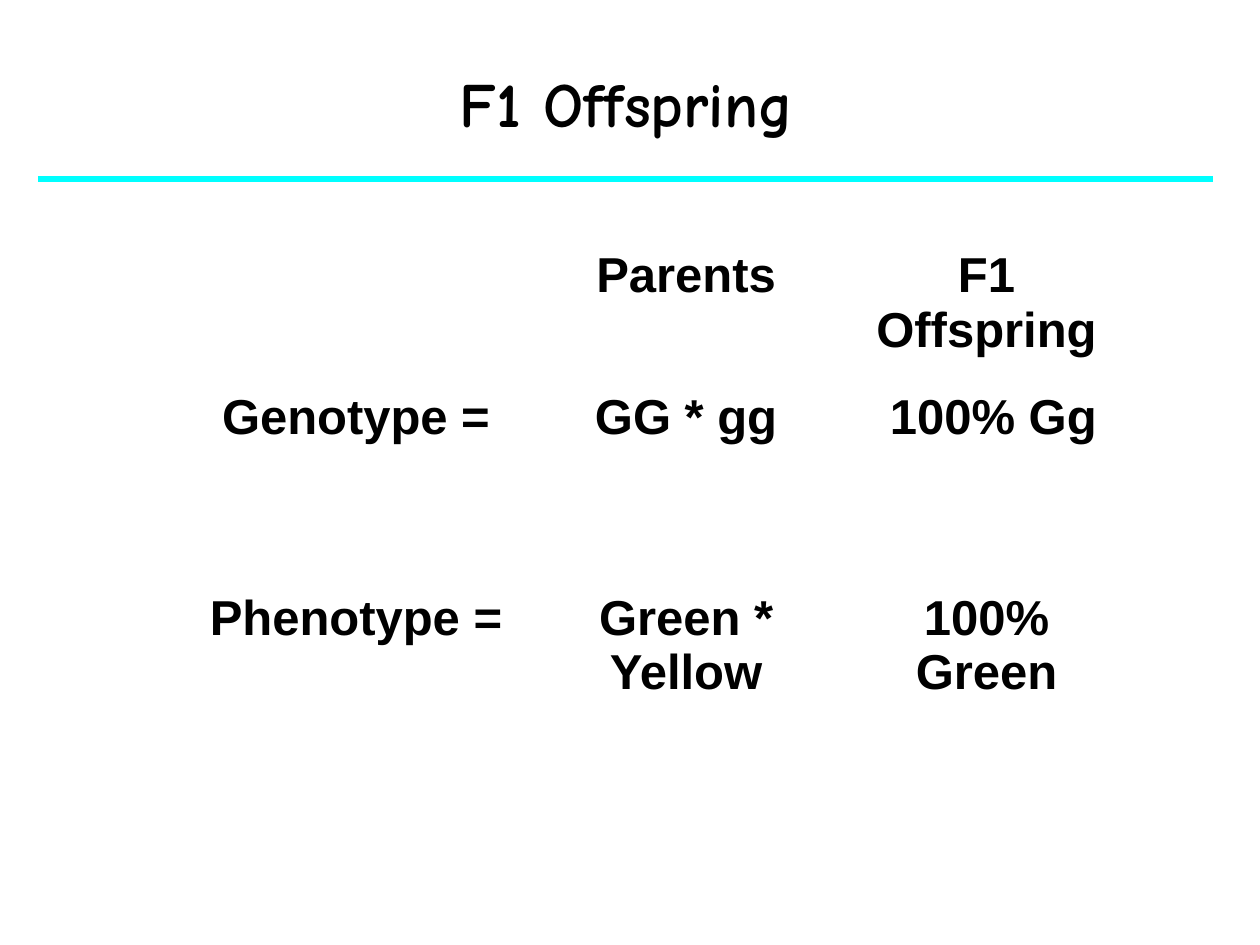
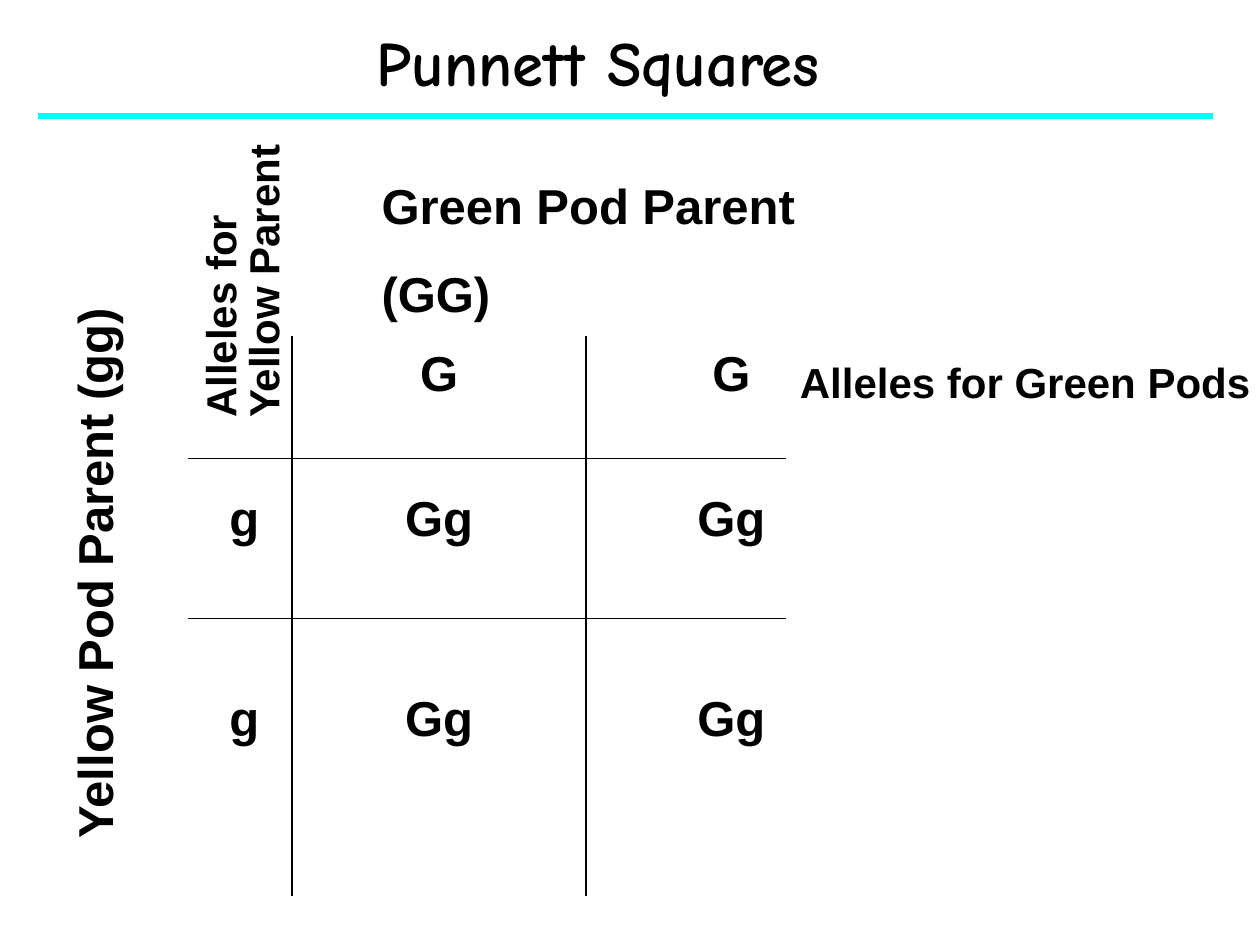
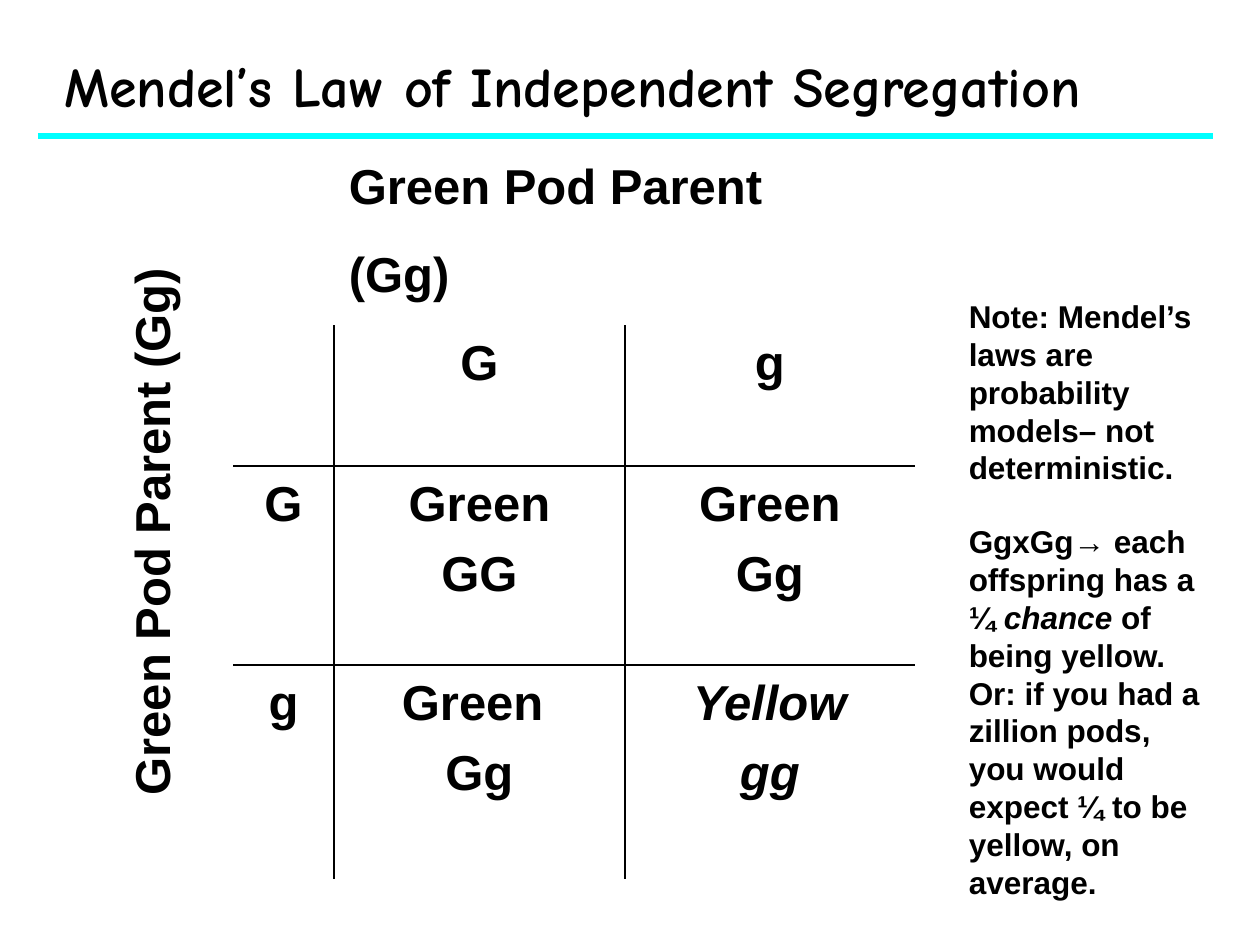
from dataclasses import dataclass
from itertools import accumulate

from lxml import etree
from pptx import Presentation
from pptx.dml.color import RGBColor
from pptx.enum.shapes import MSO_CONNECTOR
from pptx.enum.text import PP_ALIGN
from pptx.oxml.ns import qn
from pptx.util import Inches, Pt

STRAIGHT = MSO_CONNECTOR.STRAIGHT
LEFT, CENTER = PP_ALIGN.LEFT, PP_ALIGN.CENTER
BLANK_LAYOUT = 6

# The slide is a grid of 100 columns by 75 rows of square units
COLUMNS, ROWS = 100, 75
UNIT = Inches(10) // COLUMNS


@dataclass(frozen=True)
class Theme:
    ink: RGBColor = RGBColor(0x00, 0x00, 0x00)
    band: RGBColor = RGBColor(0x00, 0xFF, 0xFF)
    title_font: str = "Comic Neue"
    body_font: str = "Arial"
    title: int = 36
    long_title: int = 32
    body: int = 28
    label: int = 24
    note: int = 18
    band_width: float = 3
    grid_width: float = 1
    thin_width: float = 0.75


@dataclass(frozen=True)
class Box:
    left: float
    top: float
    width: float
    height: float

    def turned(self):
        """The unrotated box that fills this one after a quarter turn."""
        shift = (self.width - self.height) / 2
        return Box(self.left + shift, self.top - shift, self.height, self.width)

    def lengths(self):
        return [units(value) for value in (self.left, self.top, self.width, self.height)]


THEME = Theme()
LOOSE = {"line_spacing": 1.5, "space_after": Pt(6)}
TITLE_TIGHT = {"line_spacing": 0.9, "space_after": Pt(16)}
LABEL_TIGHT = {"line_spacing": 0.85}
CELL = {"alignment": CENTER}
CELL_GAP = Pt(6.4)
NOTE_GAP = Pt(20.7)


def units(value):
    return round(value * UNIT)


def apply(target, values):
    for name, value in values.items():
        setattr(target, name, value)


def write(frame, paragraphs, size, layout, font=THEME.body_font, gap=None, italic=False):
    """Each paragraph is a string or a list of (text, italic) runs."""
    frame.word_wrap = True
    for index, content in enumerate(paragraphs):
        paragraph = frame.paragraphs[0] if index == 0 else frame.add_paragraph()
        apply(paragraph, {"alignment": LEFT, **layout})
        if index and gap:
            paragraph.space_before = gap
        runs = [(content, italic)] if isinstance(content, str) else content
        for text, slanted in runs:
            run = paragraph.add_run()
            run.text = text
            apply(run.font, {"name": font, "size": Pt(size), "bold": True, "italic": slanted})
            run.font.color.rgb = THEME.ink


def add_text(slide, box, paragraphs, size, layout, upward=False, **options):
    shape = slide.shapes.add_textbox(*(box.turned() if upward else box).lengths())
    if upward:
        shape.rotation = 270
    write(shape.text_frame, paragraphs, size, layout, **options)


def add_line(slide, start, end, color, width):
    line = slide.shapes.add_connector(STRAIGHT, *(units(value) for value in start + end))
    line.line.color.rgb = color
    line.line.width = Pt(width)
    etree.SubElement(line.element.spPr, qn("a:effectLst"))


def add_heading(slide, box, text, band_top, size=THEME.title, layout=LOOSE):
    """Title with the bright rule below it."""
    add_text(slide, box, [text], size, layout, font=THEME.title_font)
    add_line(slide, (3, band_top), (96.3, band_top), THEME.band, THEME.band_width)


def add_cross_table(slide, box, widths, heights, rows):
    table = slide.shapes.add_table(len(rows), len(widths), *box.lengths()).table
    apply(table, {"first_row": False, "horz_banding": False})
    for column, width in zip(table.columns, widths):
        column.width = units(width)
    for row, height, texts in zip(table.rows, heights, rows):
        row.height = units(height)
        for cell, text in zip(row.cells, texts):
            cell.fill.background()
            if text:
                write(cell.text_frame, [text], THEME.body, CELL)


def add_punnett_square(slide, left, top, widths, heights, rows, rules, rule_span, rule_width,
                       italic_cell=None):
    """Grid of alleles; rules are the heights of its horizontal lines below the top."""
    column_edges = list(accumulate(widths, initial=left))
    row_edges = list(accumulate(heights, initial=top))
    for row, texts in enumerate(rows):
        for column, text in enumerate(texts):
            if text:
                box = Box(column_edges[column], row_edges[row], widths[column], heights[row])
                add_text(slide, box, text.split("/"), THEME.body, CELL, gap=CELL_GAP,
                         italic=(row, column) == italic_cell)
    for edge in column_edges[1:-1]:
        add_line(slide, (edge, top), (edge, row_edges[-1]), THEME.ink, THEME.grid_width)
    start, end = (left + offset for offset in rule_span)
    for rule in rules:
        add_line(slide, (start, top + rule), (end, top + rule), THEME.ink, rule_width)


def add_parents(slide, across_box, across, upward_box, upward):
    """Parent names above and beside a Punnett square."""
    add_text(slide, across_box, [across], THEME.body, LOOSE)
    add_text(slide, upward_box, [upward], THEME.body, LOOSE, upward=True)


def build_offspring(slide):
    add_cross_table(
        slide, Box(13.9, 19.2, 76.4, 44.2), (28.7, 23.7, 24), (11.3, 15.9, 17),
        [("", "Parents", "F1 Offspring"),
         ("Genotype =", "GG * gg", " 100% Gg"),
         ("Phenotype =", "Green * Yellow", "100% Green")])
    add_heading(slide, Box(35.5, 5.3, 33.5, 6.4), "F1 Offspring", 14.2, layout=TITLE_TIGHT)


def build_punnett_squares(slide):
    add_heading(slide, Box(28.9, -1.6, 94.1, 10), "Punnett Squares", 9.2)
    add_punnett_square(
        slide, 15.6, 26.7, (7.6, 23.3, 23.1), (11.5, 15.9, 17),
        [("", "G", "G"), ("g", "Gg", "Gg"), ("g", "Gg", "Gg")],
        rules=(9.7, 22.4), rule_span=(-0.7, 46.8), rule_width=THEME.thin_width)
    add_parents(slide, Box(29.3, 11.1, 41.6, 15), "Green Pod Parent (GG)",
                Box(2.3, 22.3, 9, 45.2), "Yellow Pod Parent (gg)")
    # Allele labels
    add_text(slide, Box(15.55, 3.45, 7.8, 30.7), ["Alleles for", "Yellow Parent"],
             THEME.label, LABEL_TIGHT, upward=True)
    add_text(slide, Box(62.5, 25.8, 48.9, 7), ["Alleles for Green Pods"], THEME.label, LOOSE)


def build_segregation(slide):
    add_heading(slide, Box(4.1, 0.9, 99.9, 9), "Mendel’s Law of Independent Segregation", 10.8,
                size=THEME.long_title)
    heights = (11.2, 15.8, 17)
    add_punnett_square(
        slide, 18.5, 25.8, (8, 23.1, 23), heights,
        [("", "G", "g"), ("G", "Green/GG", "Green/Gg"), ("g", "Green /Gg", "Yellow/gg")],
        rules=list(accumulate(heights))[:-1], rule_span=(0, 54.1),
        rule_width=THEME.grid_width, italic_cell=(2, 2))
    add_parents(slide, Box(26.7, 9.5, 40.5, 15), "Green Pod Parent (Gg)",
                Box(6.8, 12.6, 9, 51.5), "Green Pod Parent (Gg)")
    # Side note
    add_text(
        slide, Box(75.9, 23.1, 20.9, 49.1),
        ["Note: Mendel’s laws are probability models– not deterministic.",
         [("GgxGg→ each offspring has a ¼ ", False), ("chance", True),
          (" of being yellow. Or: if you had a zillion pods, you would expect ¼ to be "
           "yellow, on average.", False)]],
        THEME.note, {}, gap=NOTE_GAP)


def main():
    presentation = Presentation()
    apply(presentation, {"slide_width": COLUMNS * UNIT, "slide_height": ROWS * UNIT})
    for build in (build_offspring, build_punnett_squares, build_segregation):
        build(presentation.slides.add_slide(presentation.slide_layouts[BLANK_LAYOUT]))
    presentation.save("out.pptx")


if __name__ == "__main__":
    main()
